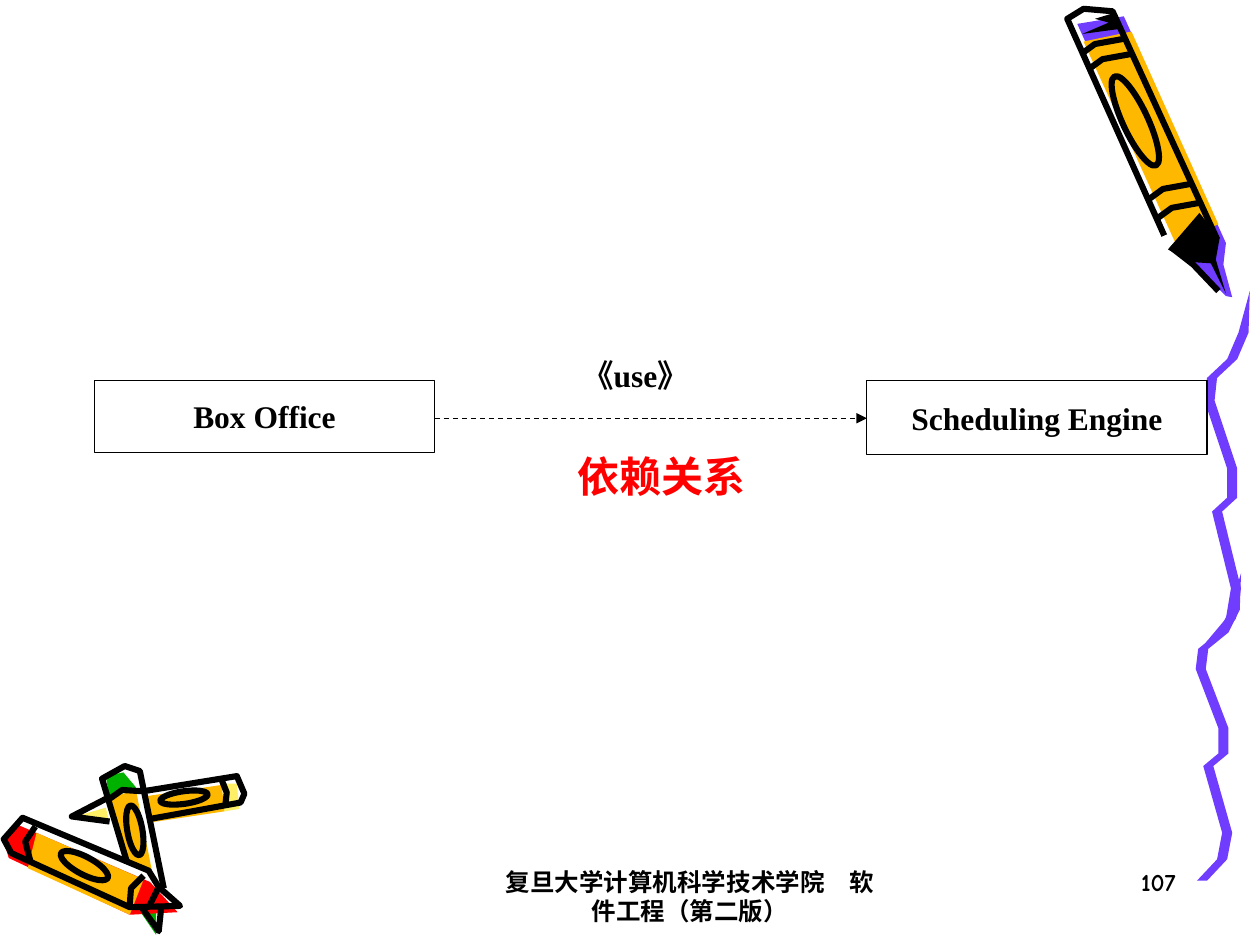
import dataclasses

import pptx
import pptx.dml.color
import pptx.enum.dml
import pptx.enum.shapes
import pptx.enum.text
import pptx.oxml
import pptx.oxml.ns
import pptx.util

Pt = pptx.util.Pt
Align = pptx.enum.text.PP_ALIGN
Anchor = pptx.enum.text.MSO_ANCHOR
Preset = pptx.enum.shapes.MSO_SHAPE


@dataclasses.dataclass(frozen=True)
class Theme:
    black: str = "000000"
    white: str = "FFFFFF"
    violet: str = "703DFF"
    orange: str = "FFB800"
    yellow: str = "FFEF66"
    red: str = "FF0000"
    green: str = "00B200"
    diagram_font: str = "Times New Roman"
    footer_font: str = "Comic Neue"
    footer_size: int = 14
    label_size: int = 18
    caption_size: int = 24
    thin_line: float = 0.75
    ink_line: float = 3.5


THEME = Theme()
GRID = 0.72  # points per unit of the crayon coordinates below

# Fill, then corner points in grid units.
CRAYON_FILLS = [
    (THEME.violet, [(855, 19), (937, 200), (973, 235), (978, 236), (971, 210), (973, 193), (892, 13)]),
    (THEME.orange, [(933, 193), (967, 178), (898, 25), (860, 33)]),
    (THEME.yellow, [(177, 622), (188, 622), (190, 642), (178, 644)]),
    (THEME.yellow, [(84, 641), (60, 648), (87, 653)]),
    (THEME.orange, [(176, 623), (116, 632), (118, 653), (178, 644)]),
    (THEME.green, [(84, 616), (98, 613), (108, 625), (87, 634)]),
    (THEME.green, [(124, 723), (124, 742), (111, 723)]),
    (THEME.orange, [(88, 633), (108, 627), (121, 693), (101, 685)]),
    (THEME.red, [(15, 655), (119, 700), (141, 724), (103, 726), (7, 681), (3, 668)]),
    (THEME.orange, [(22, 689), (103, 726), (114, 698), (29, 661)]),
    (THEME.black, [(882, 11), (869, 15), (880, 18), (859, 27), (889, 23)]),
    (THEME.black, [(927, 198), (952, 169), (968, 189), (965, 206), (973, 233), (961, 209), (945, 208)]),
]
SMALL_CRAYON_STROKES = [
    [(114, 628), (188, 616), (194, 630), (191, 637), (119, 650)],
    [(176, 619), (180, 629), (179, 638)],
    [(87, 652), (57, 648), (84, 634)],
    [(101, 685), (81, 618), (99, 608), (111, 612), (130, 705)],
    [(87, 634), (97, 627), (113, 628)],
    [(113, 721), (126, 739), (128, 720)],
    [(118, 691), (18, 649), (3, 666), (9, 677), (103, 720), (143, 719), (126, 704), (118, 691)],
    [(28, 656), (20, 668), (24, 683)],
    [(114, 695), (104, 705), (103, 718)],
    [(126, 704), (119, 718)],
]
BIG_CRAYON_STROKES = [
    [(924, 187), (847, 15), (860, 7), (883, 9), (966, 190)],
    [(929, 196), (947, 210), (967, 231)],
]
BIG_CRAYON_BAND = [(858, 43), (869, 35), (891, 31)]
BAND_SHIFTS = [(0, 0), (6, 12), (54, 115), (61, 130)]
# Centre, length, width, angle in degrees.
CRAYON_OVALS = [
    ((901, 96), 78, 20, 65),
    ((67, 687), 42, 14, 28),
    ((107, 659), 40, 12, 80),
    ((146, 633), 38, 10, -8),
]
SQUIGGLE = [(985, 455), (980, 484), (971, 502), (955, 515), (953, 531), (971, 578), (971, 598),
            (959, 608), (974, 661), (970, 682), (954, 699)]
SQUIGGLE_HALF_WIDTH = 4
UPPER_SQUIGGLE_STRETCH = 284 / 248

# Text, then left, top, width, height in points.
CLASS_BOXES = [
    ("Scheduling Engine", (495.36, 217.44, 194.4, 42.48)),
    ("Box Office", (54, 217.44, 194.4, 41.04)),
]
DEPENDENCY_ARROW = (248.4, 239.04, 495.36, 239.04)
LABELS = [
    ("依赖关系", (254.16, 251.28, 247.68, 41.04), THEME.caption_size, THEME.red),
    ("《use》", (318.96, 193.5, 88.56, 41.04), THEME.label_size, THEME.black),
]
FOOTERS = [
    ("复旦大学计算机科学技术学院　软件工程（第二版）", (280.08, 491.76, 228.24, 36), Align.CENTER),
    ("107", (529.2, 491.76, 149.76, 36), Align.RIGHT),
]


def rgb(color):
    return pptx.dml.color.RGBColor.from_string(color)


def style(shape, fill=None, line_width=None):
    shape.shadow.inherit = False
    if fill:
        shape.fill.solid()
        shape.fill.fore_color.rgb = rgb(fill)
    else:
        shape.fill.background()
    if line_width:
        shape.line.color.rgb = rgb(THEME.black)
        shape.line.width = Pt(line_width)
    else:
        shape.line.fill.background()


def add_freeform(slide, points, closed):
    builder = slide.shapes.build_freeform(*points[0], scale=Pt(GRID))
    builder.add_line_segments(points[1:], close=closed)
    return builder.convert_to_shape()


def add_squiggle(slide, centres):
    """Draw a ribbon that starts as a point and follows the centres."""
    left = [(x - SQUIGGLE_HALF_WIDTH, y) for x, y in centres[1:]]
    right = [(x + SQUIGGLE_HALF_WIDTH, y) for x, y in centres[1:]]
    style(add_freeform(slide, centres[:1] + left + right[::-1], True), THEME.violet)


def add_crayons(slide):
    for color, points in CRAYON_FILLS:
        style(add_freeform(slide, points, True), color)
    bands = [[(x + across, y + down) for x, y in BIG_CRAYON_BAND] for across, down in BAND_SHIFTS]
    for points in SMALL_CRAYON_STROKES + BIG_CRAYON_STROKES + bands:
        style(add_freeform(slide, points, False), line_width=THEME.ink_line)
    for (x, y), length, width, angle in CRAYON_OVALS:
        box = (x - length / 2, y - width / 2, length, width)
        oval = slide.shapes.add_shape(Preset.OVAL, *(Pt(GRID * value) for value in box))
        oval.rotation = angle
        style(oval, line_width=THEME.ink_line)


def write(shape, text, font, size, color=THEME.black, alignment=Align.CENTER, anchor=Anchor.MIDDLE):
    frame = shape.text_frame
    frame.word_wrap = True
    frame.vertical_anchor = anchor
    paragraph = frame.paragraphs[0]
    paragraph.alignment = alignment
    run = paragraph.add_run()
    run.text = text
    run.font.name = font
    run.font.size = Pt(size)
    run.font.bold = True
    run.font.color.rgb = rgb(color)


def add_dependency_arrow(slide):
    connector = slide.shapes.add_connector(
        pptx.enum.shapes.MSO_CONNECTOR.STRAIGHT, *map(Pt, DEPENDENCY_ARROW))
    line = connector.line
    line.color.rgb = rgb(THEME.black)
    line.width = Pt(THEME.thin_line)
    line.dash_style = pptx.enum.dml.MSO_LINE.DASH
    namespace = pptx.oxml.ns.nsdecls("a")
    line._get_or_add_ln().append(pptx.oxml.parse_xml(f'<a:tailEnd {namespace} type="triangle"/>'))
    connector._element.spPr.append(pptx.oxml.parse_xml(f"<a:effectLst {namespace}/>"))


def main():
    presentation = pptx.Presentation()
    presentation.slide_width, presentation.slide_height = Pt(720), Pt(540)
    slide = presentation.slides.add_slide(presentation.slide_layouts[6])
    add_crayons(slide)
    top = SQUIGGLE[0][1]
    add_squiggle(slide, SQUIGGLE)
    add_squiggle(slide, [(x + 7, 231 + (y - top) * UPPER_SQUIGGLE_STRETCH) for x, y in SQUIGGLE])
    for text, box, alignment in FOOTERS:
        write(slide.shapes.add_textbox(*map(Pt, box)), text, THEME.footer_font, THEME.footer_size,
              alignment=alignment, anchor=Anchor.TOP)
    for text, box in CLASS_BOXES:
        rectangle = slide.shapes.add_shape(Preset.RECTANGLE, *map(Pt, box))
        style(rectangle, THEME.white, THEME.thin_line)
        write(rectangle, text, THEME.diagram_font, THEME.label_size)
    add_dependency_arrow(slide)
    for text, box, size, color in LABELS:
        write(slide.shapes.add_textbox(*map(Pt, box)), text, THEME.diagram_font, size, color)
    presentation.save("out.pptx")


if __name__ == "__main__":
    main()
